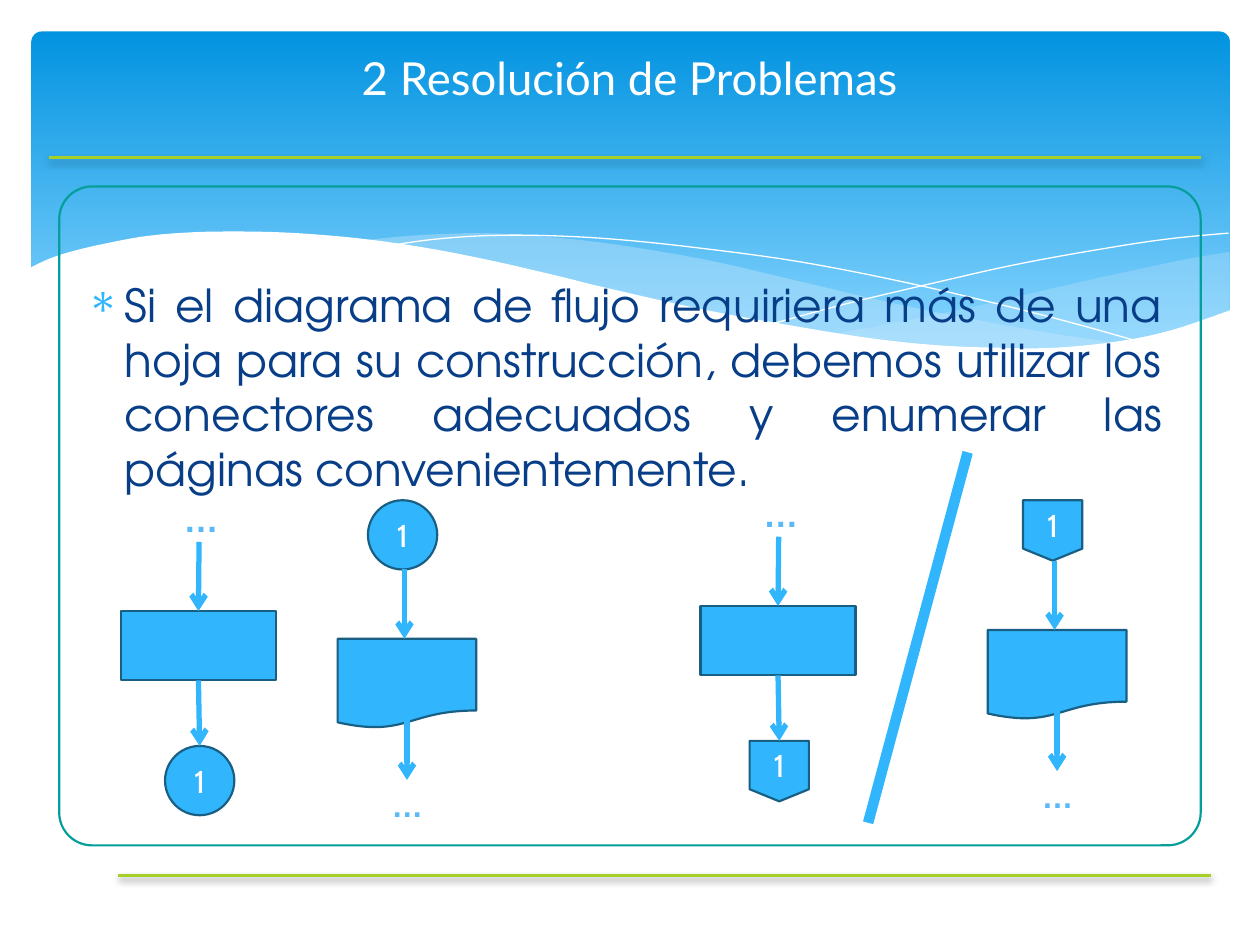
import dataclasses

import lxml.etree
import pptx
import pptx.dml.color
import pptx.enum.shapes
import pptx.enum.text
import pptx.oxml.ns
import pptx.util

PX = 9144
FORM = pptx.enum.shapes.MSO_SHAPE
LINE = pptx.enum.shapes.MSO_CONNECTOR.STRAIGHT
ALIGN = pptx.enum.text.PP_ALIGN
MID = pptx.enum.text.MSO_ANCHOR.MIDDLE
TOP = pptx.enum.text.MSO_ANCHOR.TOP


@dataclasses.dataclass(frozen=True)
class Theme:
    deep: str = "0293E0"
    pale: str = "83D3FE"
    mist: str = "C6E7FC"
    white: str = "FFFFFF"
    lime: str = "A5D028"
    teal: str = "049E9B"
    sky: str = "31B6FD"
    edge: str = "195F84"
    navy: str = "073E87"
    dots: str = "5BBAF6"
    head: int = 26
    dot: int = 20
    mark: int = 18


THEME = Theme()


def tint(code):
    return pptx.dml.color.RGBColor.from_string(code)


def apply(item, values):
    for name, value in values.items():
        setattr(item, name, value)


def add(node, tag, **values):
    return lxml.etree.SubElement(node, pptx.oxml.ns.qn(tag), values)


def paint(shape, fill=None, edge=None, width=1.25, alpha=None):
    shape.shadow.inherit = False
    if fill:
        shape.fill.solid()
        shape.fill.fore_color.rgb = tint(fill)
        if alpha:
            code = shape.fill._xPr.find(".//" + pptx.oxml.ns.qn("a:srgbClr"))
            add(code, "a:alpha", val=str(alpha * 1000))
    else:
        shape.fill.background()
    if edge:
        shape.line.color.rgb = tint(edge)
        shape.line.width = pptx.util.Pt(width)
    else:
        shape.line.fill.background()


def form(slide, kind, x, y, w, h, **look):
    shape = slide.shapes.add_shape(kind, x * PX, y * PX, w * PX, h * PX)
    paint(shape, **look)
    return shape


def write(shape, text, size, face, color, align=ALIGN.CENTER, anchor=MID,
          wrap=True, bold=False):
    frame = shape.text_frame
    apply(frame, {"word_wrap": wrap, "vertical_anchor": anchor})
    para = frame.paragraphs[0]
    para.alignment = align
    run = para.add_run()
    run.text = text
    apply(run.font, {"size": pptx.util.Pt(size), "name": face, "bold": bold})
    run.font.color.rgb = tint(color)
    return para


def label(slide, x, y, w, h, *words, **look):
    box = slide.shapes.add_textbox(x * PX, y * PX, w * PX, h * PX)
    return write(box, *words, **look)


def rule(slide, x1, y1, x2, y2, color, width):
    line = slide.shapes.add_connector(LINE, x1 * PX, y1 * PX, x2 * PX, y2 * PX)
    line.line.color.rgb = tint(color)
    line.line.width = pptx.util.Pt(width)
    return line, add(line._element.spPr, "a:effectLst")


def bar(slide, x1, x2, y):
    line, glow = rule(slide, x1, y, x2, y, THEME.lime, 2)
    shade = add(glow, "a:outerShdw", blurRad="50800", dist="25400",
                dir="5400000", rotWithShape="0")
    add(add(shade, "a:srgbClr", val="000000"), "a:alpha", val="38000")


def arrow(slide, x, y1, y2):
    line, glow = rule(slide, x, y1, x, y2, THEME.sky, 3)
    add(line.line._get_or_add_ln(), "a:tailEnd", type="arrow")
    return line


def bend(points, steps=5):
    ends = [points[0], *points, points[-1]]
    result = [points[0]]
    for a, b, c, d in zip(ends, ends[1:], ends[2:], ends[3:]):
        for step in range(1, steps + 1):
            t = step / steps
            result.append(tuple(
                (2 * q + (r - p) * t + (2 * p - 5 * q + 4 * r - s) * t ** 2
                 + (3 * q - p - 3 * r + s) * t ** 3) / 2
                for p, q, r, s in zip(a, b, c, d)))
    return result


def wave(slide, x, y, curves, ends=(), **look):
    dots = [dot for curve in curves for dot in bend(curve)] + list(ends)
    dots = [(round((x + a) * PX), round((y + b) * PX)) for a, b in dots]
    pen = slide.shapes.build_freeform(*dots[0])
    pen.add_line_segments(dots[1:], close="fill" in look)
    paint(pen.convert_to_shape(), **look)


def band(slide, x, y, w, h):
    back = form(slide, FORM.ROUNDED_RECTANGLE, x, y, w, h)
    back.adjustments[0] = 0.03
    back.fill.gradient()
    back.fill.gradient_angle = 270
    stops = ((0, THEME.deep), (0.9, THEME.pale))
    for stop, (place, color) in zip(back.fill.gradient_stops, stops):
        stop.color.rgb = tint(color)
        stop.position = place
    wave(slide, x, y, [
        [(950, 175), (910, 182), (836, 198), (754, 217), (681, 232), (636, 240)],
        [(636, 240), (694, 246), (744, 252), (789, 253), (829, 251), (872, 245),
         (910, 237), (951, 222)]], [(951, 175)], fill=THEME.mist, alpha=29)
    wave(slide, x, y, [
        [(868, 248), (812, 240), (750, 229), (681, 215), (604, 197), (544, 183),
         (489, 173), (440, 166), (395, 162), (355, 160), (303, 162), (261, 166)],
        [(261, 166), (317, 174), (379, 186), (424, 197), (505, 215), (576, 230),
         (640, 241), (697, 249), (748, 252), (793, 253), (832, 252), (868, 248)]],
        fill=THEME.mist, alpha=40)
    for curve in (
        [(284, 170), (319, 165), (362, 162), (408, 162), (464, 165), (531, 172),
         (611, 183), (702, 201), (806, 226), (882, 247)],
        [(588, 232), (647, 216), (723, 198), (781, 185), (841, 174), (899, 165),
         (950, 160)]):
        wave(slide, x, y, [curve], edge=THEME.white, width=0)
    wave(slide, x, y, [
        [(952, 221), (905, 237), (862, 246), (812, 251), (768, 251), (719, 249),
         (663, 243), (601, 233), (530, 220), (450, 202), (422, 195), (366, 182),
         (315, 172), (267, 165), (225, 161), (186, 159), (136, 159), (94, 162),
         (60, 168), (34, 174), (15, 180), (-2, 188)]],
        [(-2, 304), (952, 304)], fill=THEME.white)


def body(slide, x, y, w, h):
    panel = form(slide, FORM.ROUNDED_RECTANGLE, x, y, w, h, edge=THEME.teal)
    panel.adjustments[0] = 0.05
    para = label(
        slide, x + 12, y + 67, w - 32, h - 78,
        "Si el diagrama de flujo requiriera más de una hoja para su "
        "construcción, debemos utilizar los conectores adecuados y enumerar "
        "las páginas convenientemente.",
        THEME.head, "TeX Gyre Adventor", THEME.navy,
        align=ALIGN.JUSTIFY, anchor=TOP)
    props = para._p.get_or_add_pPr()
    for name, value in {"marL": 30 * PX, "indent": -30 * PX}.items():
        props.set(name, str(value))
    add(add(props, "a:buClr"), "a:srgbClr", val=THEME.sky)
    add(props, "a:buFont", typeface="Symbol")
    add(props, "a:buChar", char="∗")


def block(slide, kind, x, y, w, h):
    return form(slide, kind, x, y, w, h, fill=THEME.sky, edge=THEME.edge)


def joint(slide, kind, x, y, w, h):
    shape = block(slide, kind, x, y, w, h)
    write(shape, "1", THEME.mark, "Cabin", THEME.white)
    return shape


def dots(slide, x, y, w, h, size):
    label(slide, x, y, w, h, "…", size, "Arial", THEME.dots,
          align=ALIGN.LEFT, anchor=TOP, wrap=False, bold=True)


def leave(slide, x, y, kind, w, h):
    dots(slide, x + 40, y, 47, 44, THEME.dot)
    step = block(slide, FORM.FLOWCHART_PROCESS, x, y + 95, 123, 55)
    end = joint(slide, kind, x + 62 - w // 2, y + 202, w, h)
    arrow(slide, x + 62, y + 40, y + 95).end_connect(step, 0)
    line = arrow(slide, x + 62, y + 150, y + 202)
    line.begin_connect(step, 2)
    line.end_connect(end, 0)


def enter(slide, x, y, kind, w, h):
    low = y + h + 55
    joint(slide, kind, x + 51 - w // 2, y, w, h)
    block(slide, FORM.FLOWCHART_DOCUMENT, x, low, 110, 71)
    arrow(slide, x + 53, y + h, low)
    arrow(slide, x + 55, low + 57, low + 112)
    dots(slide, x + 33, low + 112, 45, 40, THEME.mark)


def main():
    deck = pptx.Presentation()
    apply(deck, {"slide_width": 1000 * PX, "slide_height": 750 * PX})
    slide = deck.slides.add_slide(deck.slide_layouts[6])
    band(slide, 25, 25, 951, 270)
    bar(slide, 953, 39, 125)
    bar(slide, 961, 94, 695)
    body(slide, 47, 148, 906, 523)
    label(slide, 0, 0, 1000, 123, "2 Resolución de Problemas",
          THEME.head, "Lato", THEME.white)
    ring = (FORM.FLOWCHART_CONNECTOR, 55, 55)
    page = (FORM.FLOWCHART_OFFPAGE_CONNECTOR, 47, 48)
    leave(slide, 96, 390, *ring)
    enter(slide, 268, 397, *ring)
    leave(slide, 556, 386, *page)
    enter(slide, 784, 397, *page)
    rule(slide, 768, 359, 689, 653, THEME.sky, 6)
    deck.save("out.pptx")


if __name__ == "__main__":
    main()
